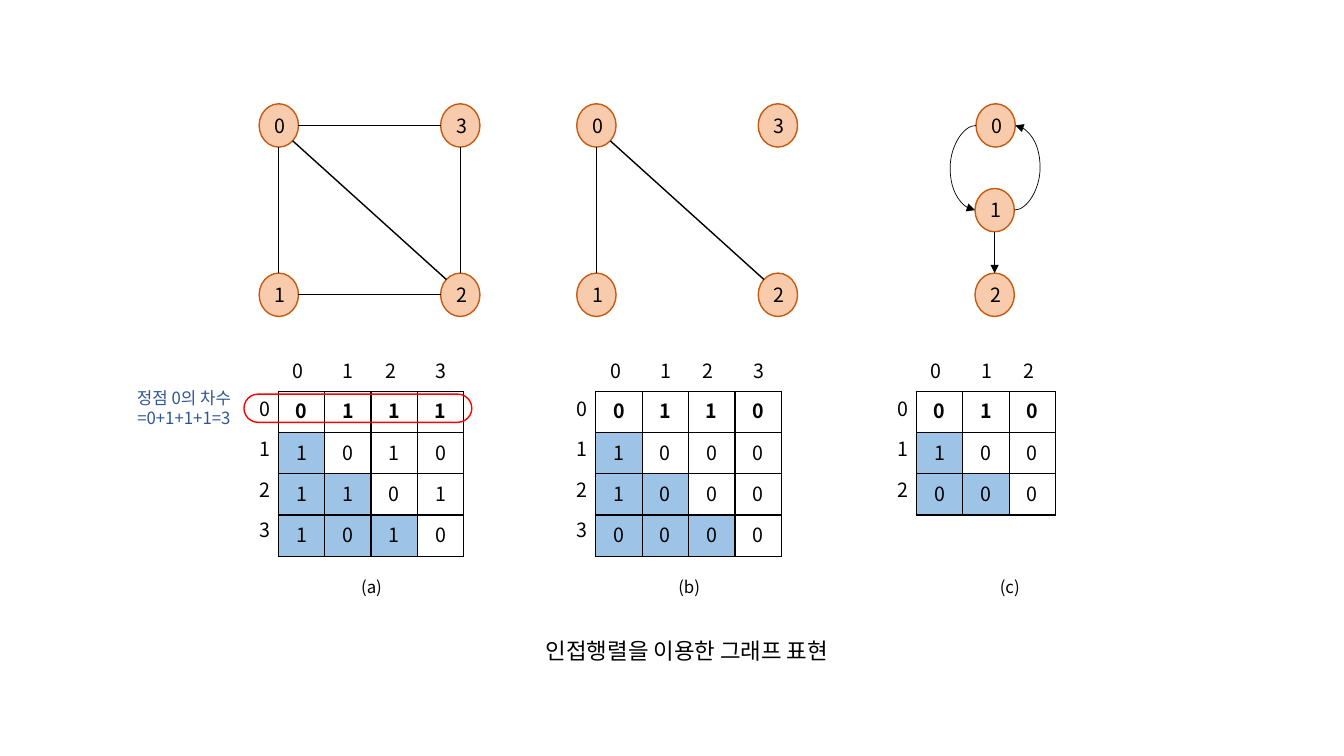
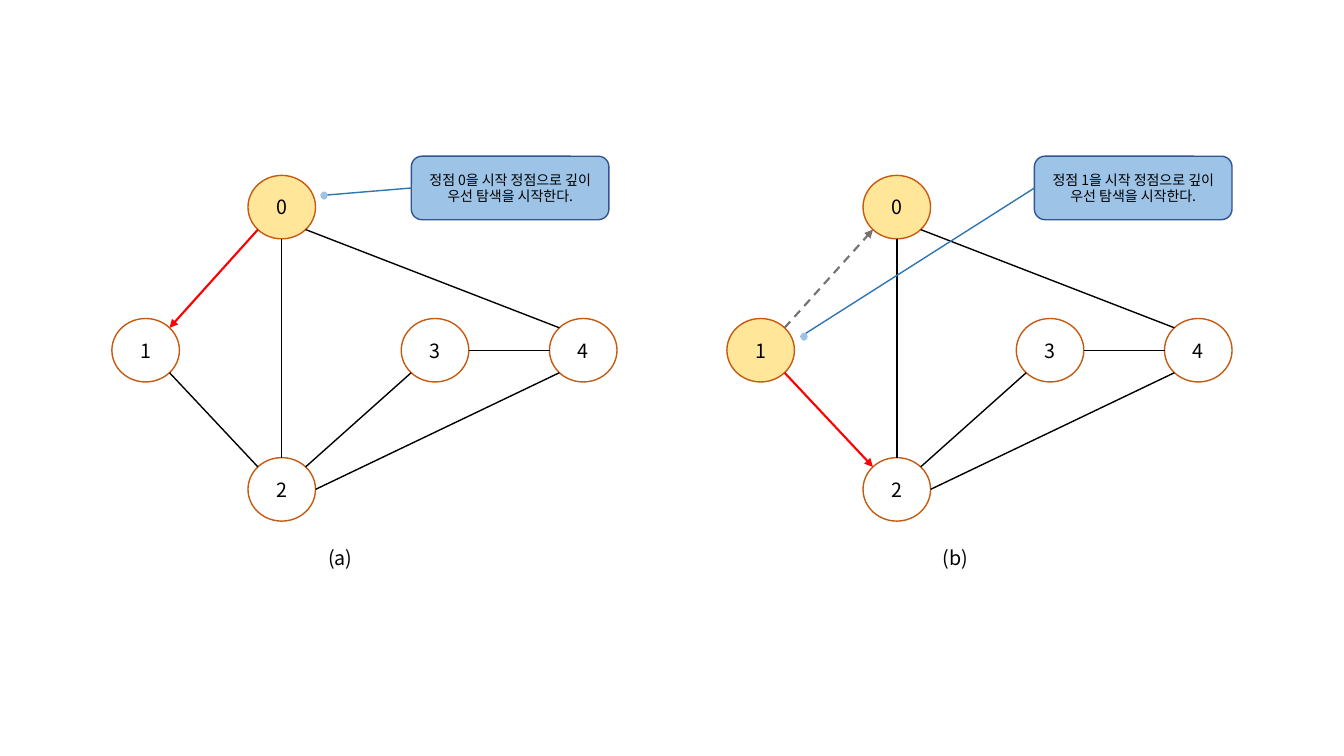
from math import sqrt

from lxml import etree
from pptx import Presentation
from pptx.dml.color import RGBColor
from pptx.enum.dml import MSO_LINE
from pptx.enum.shapes import MSO_CONNECTOR, MSO_SHAPE
from pptx.enum.text import MSO_ANCHOR, MSO_AUTO_SIZE, PP_ALIGN
from pptx.oxml.ns import qn
from pptx.util import Inches, Pt

FONT = "Noto Sans CJK KR"
BLACK = RGBColor(0x00, 0x00, 0x00)
WHITE = RGBColor(0xFF, 0xFF, 0xFF)
RED = RGBColor(0xFF, 0x00, 0x00)
GRAY = RGBColor(0x76, 0x71, 0x71)
PEACH = RGBColor(0xF8, 0xCB, 0xAD)
RUST = RGBColor(0xC5, 0x5A, 0x11)
YELLOW = RGBColor(0xFF, 0xE6, 0x99)
LIGHT_BLUE = RGBColor(0x9D, 0xC3, 0xE6)
MID_BLUE = RGBColor(0x2E, 0x75, 0xB6)
DARK_BLUE = RGBColor(0x2F, 0x55, 0x97)
NAVY = RGBColor(0x32, 0x54, 0x91)

CENTER = PP_ALIGN.CENTER
TOP, MIDDLE = MSO_ANCHOR.TOP, MSO_ANCHOR.MIDDLE
NO_FIT = MSO_AUTO_SIZE.NONE
DASH = MSO_LINE.DASH
STRAIGHT, CURVE = MSO_CONNECTOR.STRAIGHT, MSO_CONNECTOR.CURVE
OVAL, ROUND_RECT = MSO_SHAPE.OVAL, MSO_SHAPE.ROUNDED_RECTANGLE

D = sqrt(0.5)
SITES = {
    "t": (0, -1), "b": (0, 1), "l": (-1, 0), "r": (1, 0),
    "tl": (-D, -D), "tr": (D, -D), "bl": (-D, D), "br": (D, D),
}

CELL_W, CELL_H = 0.46, 0.41
COLUMN_LABELS = (-0.14, 0.36, 0.78, 1.28)
SQUARE = ((0, 0), (0, 1.68), (1.8, 1.68), (1.8, 0))
COLUMN = ((0.01, 0), (0, 0.84), (0, 1.68))


def write(tf, text, size=14, color=BLACK, bold=False, anchor=TOP):
    tf.word_wrap = True
    tf.vertical_anchor = anchor
    p = tf.paragraphs[0]
    p.alignment = CENTER
    r = p.add_run()
    r.text = text
    r.font.size = Pt(size)
    r.font.bold = bold
    r.font.name = FONT
    r.font.color.rgb = color
    etree.SubElement(r.font._element, qn("a:ea")).set("typeface", FONT)


def add_text(s, box, text, **fmt):
    sp = s.shapes.add_textbox(*map(Inches, box))
    write(sp.text_frame, text, **fmt)


def add_box(s, kind, box, fill=None, line=None, text=None, **fmt):
    sp = s.shapes.add_shape(kind, *map(Inches, box))
    sp.shadow.inherit = False
    if fill is None:
        sp.fill.background()
    else:
        sp.fill.solid()
        sp.fill.fore_color.rgb = fill
    if line is None:
        sp.line.fill.background()
    else:
        sp.line.color.rgb = line
        sp.line.width = Pt(1)
    if text:
        write(sp.text_frame, text, anchor=MIDDLE, **fmt)
    return sp


def add_line(s, start, end, color=BLACK, width=1, dash=None, arrow=False, kind=STRAIGHT, bend=None):
    cxn = s.shapes.add_connector(kind, *map(Inches, (*start, *end)))
    cxn.line.color.rgb = color
    cxn.line.width = Pt(width)
    if dash:
        cxn.line.dash_style = dash
    if arrow:
        etree.SubElement(cxn.line._get_or_add_ln(), qn("a:tailEnd")).set("type", "triangle")
    sppr = cxn._element.spPr
    etree.SubElement(sppr, qn("a:effectLst"))
    if bend:
        guide = etree.SubElement(sppr.find(qn("a:prstGeom")).find(qn("a:avLst")), qn("a:gd"))
        guide.set("name", "adj1")
        guide.set("fmla", f"val {bend}")


def site(box, name):
    x, y, w, h = box
    dx, dy = SITES[name]
    return x + w / 2 * (1 + dx), y + h / 2 * (1 + dy)


def add_graph(s, nodes, edges, fills):
    for label, (box, fill) in enumerate(zip(nodes, fills)):
        add_box(s, OVAL, box, fill, RUST, str(label))
    for a, a_site, b, b_site, fmt in edges:
        add_line(s, site(nodes[a], a_site), site(nodes[b], b_site), **fmt)


def set_borders(cell):
    tcpr = cell._tc.get_or_add_tcPr()
    for i, side in enumerate(("lnL", "lnR", "lnT", "lnB")):
        ln = etree.Element(qn(f"a:{side}"), w=str(Pt(1)))
        fill = etree.SubElement(ln, qn("a:solidFill"))
        etree.SubElement(fill, qn("a:srgbClr")).set("val", str(BLACK))
        tcpr.insert(i, ln)


def add_matrix(s, left, top, rows):
    n = len(rows)
    box = (left, top, n * CELL_W, n * CELL_H)
    table = s.shapes.add_table(n, n, *map(Inches, box)).table
    table.first_row = table.horz_banding = False
    for i, values in enumerate(rows):
        table.rows[i].height = Inches(CELL_H)
        table.columns[i].width = Inches(CELL_W)
        for j, value in enumerate(values):
            cell = table.cell(i, j)
            write(cell.text_frame, value, bold=i == 0)
            if j < i:
                cell.fill.solid()
                cell.fill.fore_color.rgb = LIGHT_BLUE
            else:
                cell.fill.background()
            set_borders(cell)
        add_text(s, (left + COLUMN_LABELS[i], top - 0.37, 0.67, 0.34), str(i))
        add_text(s, (left - 0.47, top + 0.01 + 0.4 * i, 0.67, 0.34), str(i))


def matrix_panel(s, left, graph_left, places, edges, rows, caption):
    nodes = [(graph_left + x, 1.03 + y, 0.39, 0.43) for x, y in places]
    add_graph(s, nodes, edges, [PEACH] * len(nodes))
    add_matrix(s, left, 3.88, rows)
    add_text(s, (left - 0.73, 5.67, 3.31, 0.3), caption, size=12)
    return nodes


def matrix_slide(prs):
    s = prs.slides.add_slide(prs.slide_layouts[5])
    title = s.shapes.title
    title.left, title.top, title.width, title.height = map(Inches, (4.46, 6.27, 4.71, 0.37))
    title.text_frame.auto_size = NO_FIT
    write(title.text_frame, "인접행렬을 이용한 그래프 표현", size=16)

    thin = {"width": 0.5}
    arrow = {"width": 0.5, "arrow": True}
    shared = [(1, "t", 0, "b", {}), (2, "tl", 0, "br", {})]
    square = [(0, "r", 3, "l", {}), (2, "l", 1, "r", thin), (2, "t", 3, "b", thin)]
    matrix_panel(s, 2.76, 2.57, SQUARE, shared + square, ("0111", "1010", "1101", "1010"), "(a)")
    add_text(s, (0.96, 3.8, 1.73, 0.5), "정점 0의 차수=0+1+1+1=3", size=12, color=DARK_BLUE)
    ring = add_box(s, ROUND_RECT, (2.42, 3.91, 2.26, 0.28), line=RED)
    ring.adjustments[0] = 0.5

    matrix_panel(s, 5.91, 5.72, SQUARE, shared, ("0110", "1000", "1000", "0000"), "(b)")

    nodes = matrix_panel(s, 9.09, 9.67, COLUMN, [(1, "b", 2, "t", arrow)],
                         ("010", "100", "000"), "(c)")
    for a, b, side in ((0, 1, "l"), (1, 0, "r")):
        add_line(s, site(nodes[a], side), site(nodes[b], side), kind=CURVE, bend=2600000, **arrow)


def search_panel(s, left, visited, edges, callout_left, dot, text, caption):
    places = ((1.35, 1.74), (0, 3.16), (1.35, 4.54), (2.87, 3.16), (4.34, 3.16))
    nodes = [(left + x, y, 0.67, 0.63) for x, y in places]
    shared = [
        (4, "tl", 0, "br", {}), (3, "bl", 2, "tr", {}), (4, "bl", 2, "r", {}),
        (0, "b", 2, "t", {}), (3, "r", 4, "l", {}),
    ]
    fills = [YELLOW if i in visited else WHITE for i in range(len(nodes))]
    add_graph(s, nodes, shared + edges, fills)
    add_text(s, (left + 0.77, 5.37, 2.99, 0.34), caption)

    callout = (left + callout_left, 1.55, 1.96, 0.63)
    marker = (left + dot[0], dot[1], 0.07, 0.08)
    add_box(s, ROUND_RECT, callout, LIGHT_BLUE, NAVY, text, size=10)
    add_line(s, site(marker, "l"), site(callout, "l"), color=MID_BLUE)
    add_box(s, OVAL, marker, LIGHT_BLUE)


def search_slide(prs):
    s = prs.slides.add_slide(prs.slide_layouts[6])
    step = {"color": RED, "width": 1.5, "arrow": True}
    back = {"color": GRAY, "width": 1.5, "dash": DASH, "arrow": True}
    search_panel(s, 1.11, (0,), [(2, "tl", 1, "br", {}), (0, "bl", 1, "tr", step)],
                 2.97, (2.07, 1.9), "정점 0을 시작 정점으로 깊이 우선 탐색을 시작한다.", "(a)")
    search_panel(s, 7.21, (0, 1), [(1, "tr", 0, "bl", back), (1, "br", 2, "tl", step)],
                 3.05, (0.73, 3.3), "정점 1을 시작 정점으로 깊이 우선 탐색을 시작한다.", "(b)")


prs = Presentation()
prs.slide_width, prs.slide_height = Inches(13.33), Inches(7.5)
matrix_slide(prs)
search_slide(prs)
prs.save("out.pptx")
